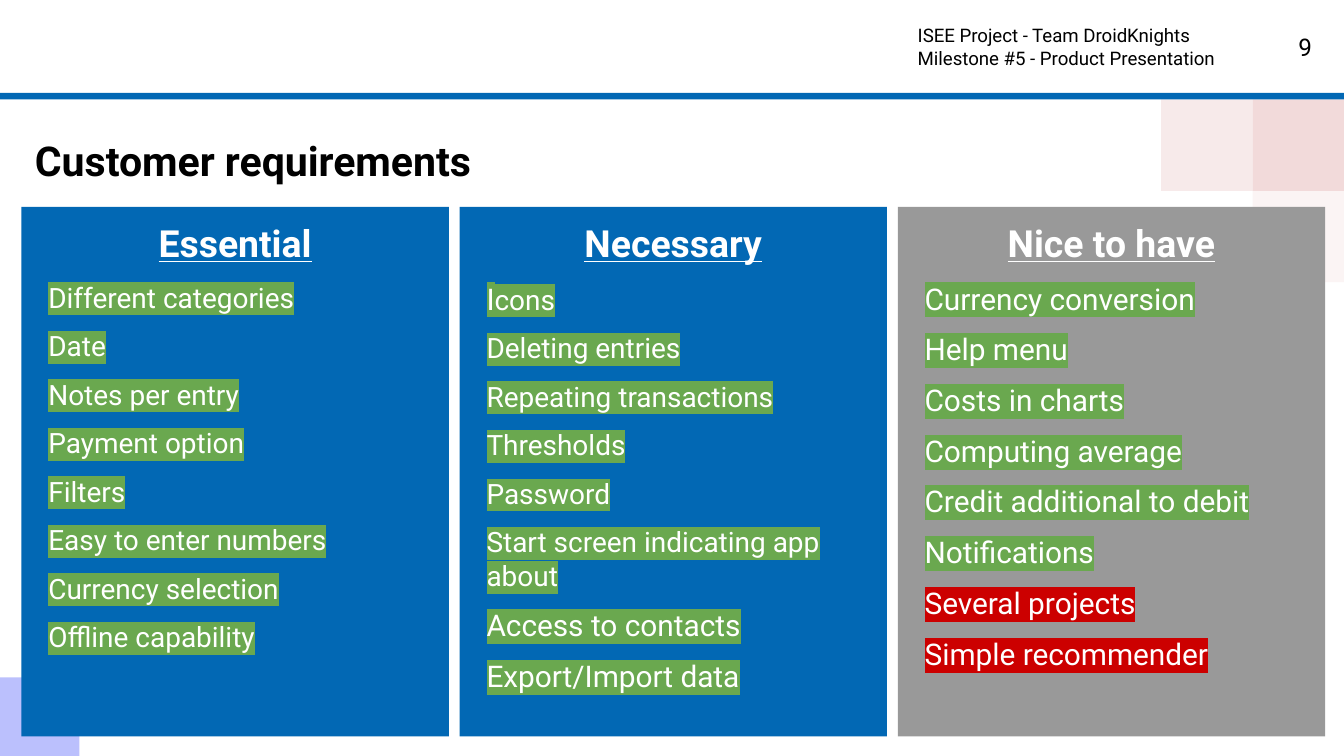
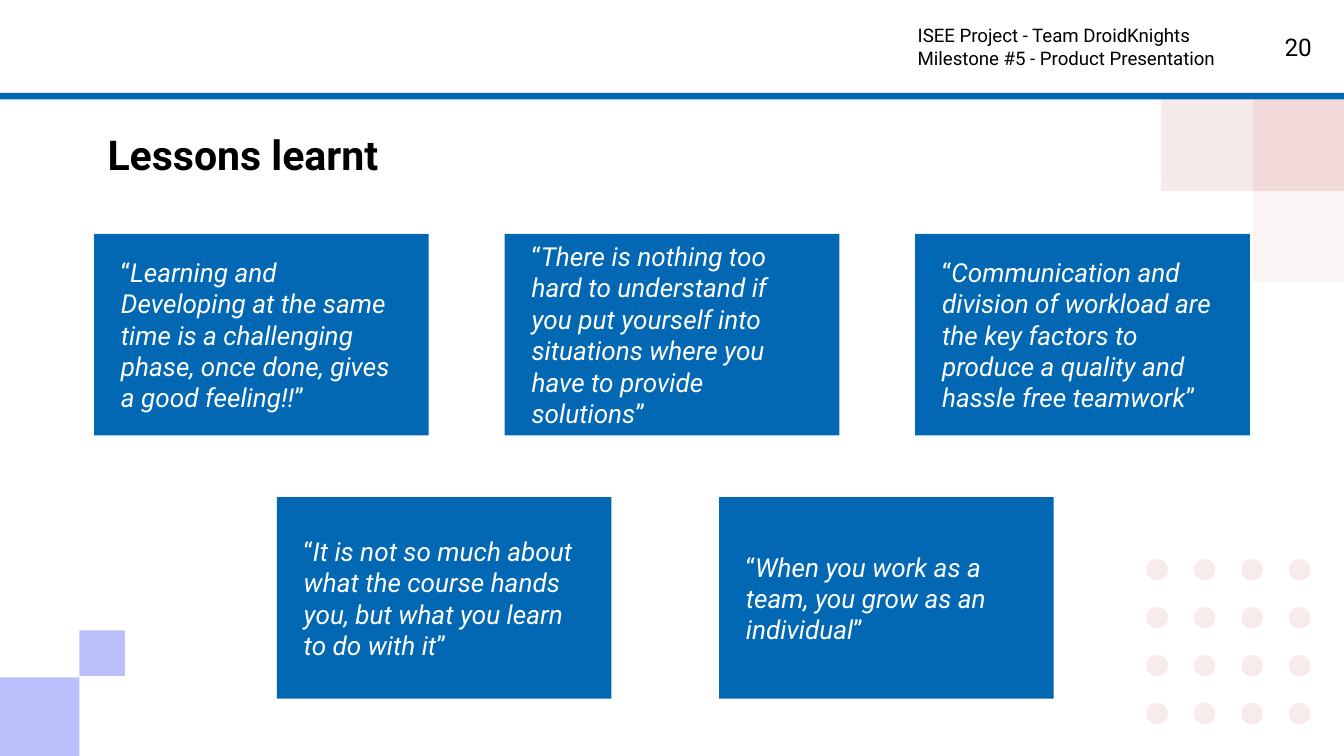
from dataclasses import dataclass

from lxml.etree import SubElement
from pptx import Presentation
from pptx.dml.color import RGBColor
from pptx.enum.shapes import MSO_SHAPE
from pptx.enum.text import MSO_ANCHOR, MSO_AUTO_SIZE, PP_ALIGN
from pptx.oxml.ns import qn
from pptx.util import Inches, Pt

# Shared look
FONT = "Roboto"
BLACK = RGBColor(0x00, 0x00, 0x00)
WHITE = RGBColor(0xFF, 0xFF, 0xFF)
BLUE = RGBColor(0x02, 0x68, 0xB4)
GREY = RGBColor(0x99, 0x99, 0x99)
GREEN = RGBColor(0x6A, 0xA8, 0x4F)
RED = RGBColor(0xCC, 0x00, 0x00)
PINK = RGBColor(0xF2, 0xDA, 0xDA)
PALE_PINK = RGBColor(0xF7, 0xEB, 0xEB)
VIOLET = RGBColor(0x26, 0x34, 0xF9)

SLIDE_WIDTH = 10
SLIDE_HEIGHT = SLIDE_WIDTH * 9 / 16
TITLE_ONLY, COMPARISON = 5, 4
HEADER_LINES = ("ISEE Project - Team DroidKnights",
                "Milestone #5 - Product Presentation")


@dataclass
class Requirement:
    text: str
    size: int = 15
    highlight: RGBColor = GREEN
    initial_size: int = 0  # size of the first letter, where it differs


@dataclass
class Column:
    heading: str
    fill: RGBColor
    requirements: list


COLUMNS = [
    Column("Essential", BLUE, [
        Requirement("Different categories"),
        Requirement("Date"),
        Requirement("Notes per entry"),
        Requirement("Payment option"),
        Requirement("Filters"),
        Requirement("Easy to enter numbers"),
        Requirement("Currency selection"),
        Requirement("Offline capability"),
    ]),
    Column("Necessary", BLUE, [
        Requirement("Icons", initial_size=16),
        Requirement("Deleting entries"),
        Requirement("Repeating transactions"),
        Requirement("Thresholds"),
        Requirement("Password"),
        Requirement("Start screen indicating app about"),
        Requirement("Access to contacts", 16),
        Requirement("Export/Import data", 16),
    ]),
    Column("Nice to have", GREY, [
        Requirement("Currency conversion", 16),
        Requirement("Help menu", 16),
        Requirement("Costs in charts", 16),
        Requirement("Computing average", 16),
        Requirement("Credit additional to debit", 16),
        Requirement("Notifications", 16),
        Requirement("Several projects", 16, RED),
        Requirement("Simple recommender", 16, RED),
    ]),
]

# Each row: first left edge, last left edge, top edge, quotes
QUOTE_ROWS = [
    (0.7, 6.81, 1.74, [
        "Learning and Developing at the same time is a challenging phase, "
        "once done, gives a good feeling!!",
        "There is nothing too hard to understand if you put yourself into "
        "situations where you have to provide solutions",
        "Communication and division of workload are the key factors to "
        "produce a quality and hassle free teamwork",
    ]),
    (2.06, 5.35, 3.7, [
        "It is not so much about what the course hands you, but what you "
        "learn to do with it",
        "When you work as a team, you grow as an individual",
    ]),
]


# Helpers
def add_block(slide, kind, left, top, width, height, color, opacity=100):
    shape = slide.shapes.add_shape(
        kind, Inches(left), Inches(top), Inches(width), Inches(height))
    shape.shadow.inherit = False
    shape.line.fill.background()
    shape.fill.solid()
    shape.fill.fore_color.rgb = color
    if opacity < 100:
        color_element = shape.element.spPr.find(qn("a:solidFill"))[0]
        SubElement(color_element, qn("a:alpha"), val=str(opacity * 1000))
    return shape


def place(shape, left, top, width, height):
    """Move a placeholder and bring it in front of the decoration."""
    shape.left, shape.top = Inches(left), Inches(top)
    shape.width, shape.height = Inches(width), Inches(height)
    shape.element.getparent().append(shape.element)


def set_frame(shape, side=0.1, anchor=MSO_ANCHOR.TOP):
    frame = shape.text_frame
    frame.word_wrap = True
    frame.auto_size = MSO_AUTO_SIZE.NONE
    frame.vertical_anchor = anchor
    frame.margin_left = frame.margin_right = Inches(side)
    frame.margin_top = frame.margin_bottom = Inches(0.1)
    return frame


def format_paragraph(paragraph, size, color, bold=False,
                     alignment=PP_ALIGN.LEFT, before=0, after=0):
    paragraph.alignment = alignment
    paragraph.space_before, paragraph.space_after = Pt(before), Pt(after)
    font = paragraph.font
    font.name, font.size, font.bold = FONT, Pt(size), bold
    font.color.rgb = color


def remove_bullet(paragraph):
    properties = paragraph._p.get_or_add_pPr()
    properties.set("marL", "0")
    properties.set("indent", "0")
    bullet = SubElement(properties, qn("a:buNone"))
    properties.find(qn("a:defRPr")).addprevious(bullet)


def add_highlighted_run(paragraph, text, color):
    run = paragraph.add_run()
    run.text = text
    highlight = SubElement(run._r.get_or_add_rPr(), qn("a:highlight"))
    SubElement(highlight, qn("a:srgbClr"), val=str(color))
    return run


def add_text(slide, box, lines, size, alignment=PP_ALIGN.LEFT):
    text_box = slide.shapes.add_textbox(*(Inches(length) for length in box))
    frame = set_frame(text_box)
    frame.text = "\n".join(lines)
    for paragraph in frame.paragraphs:
        format_paragraph(paragraph, size, BLACK, alignment=alignment)


# Shared regions
def add_corner_squares(slide):
    side = 0.68
    left, top = SLIDE_WIDTH - side, 0.74
    for x, y, opacity in ((left, top, 100), (left, top + side, 28),
                          (left - side, top, 55)):
        add_block(slide, MSO_SHAPE.RECTANGLE, x, y, side, side, PINK, opacity)
    add_block(slide, MSO_SHAPE.RECTANGLE, 0, 5.04, 0.59, 0.59, VIOLET, 31)


def add_header(slide, number):
    add_block(slide, MSO_SHAPE.RECTANGLE, 0, 0, SLIDE_WIDTH, 0.69, WHITE)
    add_block(slide, MSO_SHAPE.RECTANGLE, 0, 0.69, SLIDE_WIDTH, 0.05, BLUE)
    add_text(slide, (6.73, 0.08, 2.71, 0.52), HEADER_LINES, 10)
    add_text(slide, (9.26, 0.14, 0.6, 0.43), [str(number)], 13,
             PP_ALIGN.RIGHT)


def add_title(slide, text, left, top):
    title = slide.shapes.title
    place(title, left, top, 8.44, 0.63)
    frame = set_frame(title)
    frame.text = text
    format_paragraph(frame.paragraphs[0], 22, BLACK, bold=True)


def add_dot_grid(slide, left, top, width, height, count=4):
    diameter = 0.16
    step_x = (width - diameter) / (count - 1)
    step_y = (height - diameter) / (count - 1)
    for row in range(count):
        for column in range(count):
            add_block(slide, MSO_SHAPE.OVAL, left + column * step_x,
                      top + row * step_y, diameter, diameter, PALE_PINK)


# Requirement columns
def fill_column(placeholder, column, left, top, width, height):
    place(placeholder, left, top, width, height)
    placeholder.fill.solid()
    placeholder.fill.fore_color.rgb = column.fill
    frame = set_frame(placeholder, side=0.2)

    heading = frame.paragraphs[0]
    heading.text = column.heading
    format_paragraph(heading, 20, WHITE, bold=True,
                     alignment=PP_ALIGN.CENTER)
    heading.font.underline = True
    remove_bullet(heading)

    for item in column.requirements:
        paragraph = frame.add_paragraph()
        is_last = item is column.requirements[-1]
        format_paragraph(paragraph, item.size, WHITE, before=8,
                         after=8 if is_last else 0)
        remove_bullet(paragraph)
        text = item.text
        if item.initial_size:
            initial = add_highlighted_run(paragraph, text[0], item.highlight)
            initial.font.size = Pt(item.initial_size)
            text = text[1:]
        add_highlighted_run(paragraph, text, item.highlight)


def build_requirements(presentation):
    slide = presentation.slides.add_slide(
        presentation.slide_layouts[COMPARISON])
    bodies = [shape for shape in slide.placeholders
              if 1 <= shape.placeholder_format.idx <= 4]
    add_corner_squares(slide)
    add_header(slide, 9)
    add_title(slide, "Customer requirements", 0.16, 0.91)
    for index, column in enumerate(COLUMNS):
        fill_column(bodies[index], column, 0.16 + index * 3.26, 1.54,
                    3.18, 3.94)
    for unused in bodies[len(COLUMNS):]:
        unused.element.getparent().remove(unused.element)


# Quote cards
def add_quote(slide, quote, left, top):
    card = add_block(slide, MSO_SHAPE.RECTANGLE, left, top, 2.49, 1.5, BLUE)
    paragraph = set_frame(card, 0.2, MSO_ANCHOR.MIDDLE).paragraphs[0]
    format_paragraph(paragraph, 14, WHITE, after=8)
    for text, italic in (("“", False), (quote, True), ("”", False)):
        run = paragraph.add_run()
        run.text = text
        run.font.italic = italic


def build_lessons(presentation):
    slide = presentation.slides.add_slide(
        presentation.slide_layouts[TITLE_ONLY])
    add_corner_squares(slide)
    add_block(slide, MSO_SHAPE.RECTANGLE, 0.59, 4.69, 0.34, 0.34, VIOLET, 31)
    add_dot_grid(slide, 8.53, 4.16, 1.22, 1.23)
    add_header(slide, 20)
    for first_left, last_left, top, quotes in QUOTE_ROWS:
        step = (last_left - first_left) / (len(quotes) - 1)
        for index, quote in enumerate(quotes):
            add_quote(slide, quote, first_left + index * step, top)
    add_title(slide, "Lessons learnt", 0.7, 0.86)


def main():
    presentation = Presentation()
    presentation.slide_width = Inches(SLIDE_WIDTH)
    presentation.slide_height = Inches(SLIDE_HEIGHT)
    build_requirements(presentation)
    build_lessons(presentation)
    presentation.save("out.pptx")


if __name__ == "__main__":
    main()
